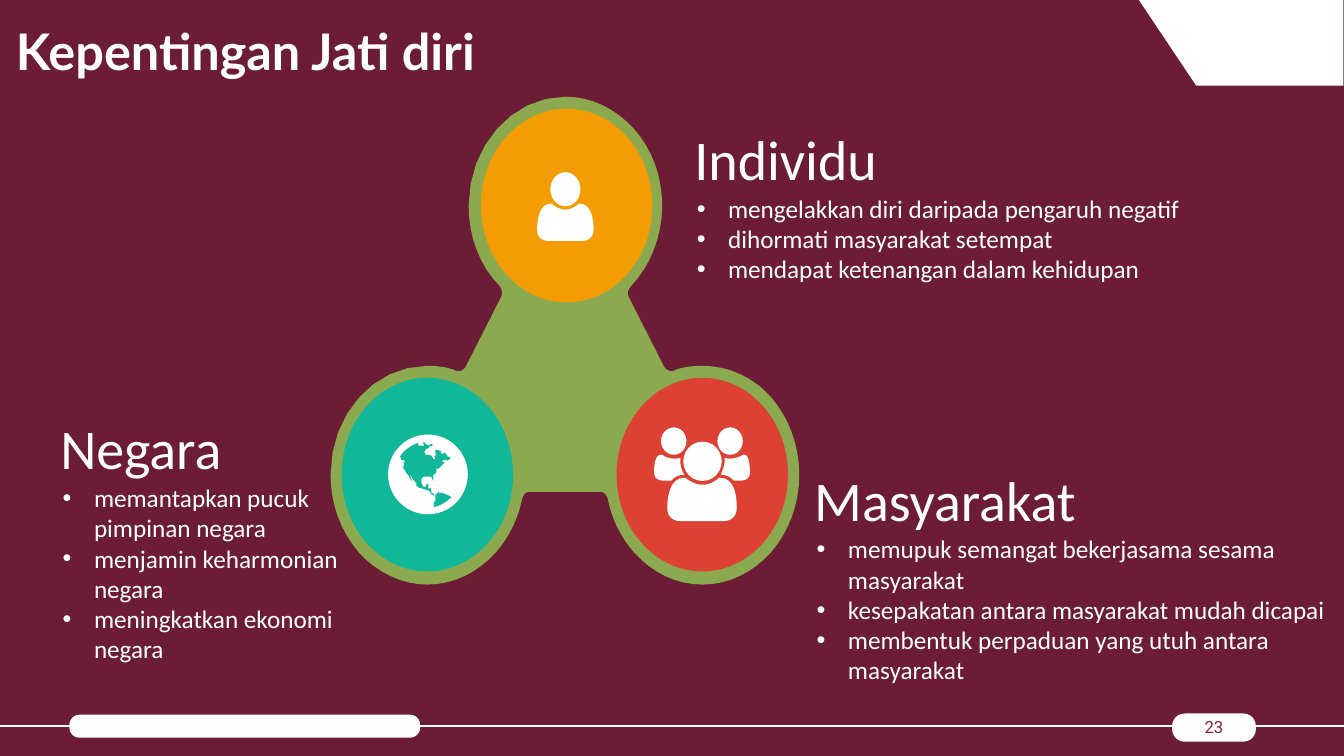
from lxml import etree
from pptx import Presentation
from pptx.dml.color import RGBColor
from pptx.enum.shapes import MSO_CONNECTOR, MSO_SHAPE
from pptx.enum.text import MSO_ANCHOR, PP_ALIGN
from pptx.oxml.ns import qn
from pptx.util import Cm, Pt

OVAL, ROUNDED = MSO_SHAPE.OVAL, MSO_SHAPE.ROUNDED_RECTANGLE
STRAIGHT = MSO_CONNECTOR.STRAIGHT
TOP, MIDDLE = MSO_ANCHOR.TOP, MSO_ANCHOR.MIDDLE
LEFT, CENTER = PP_ALIGN.LEFT, PP_ALIGN.CENTER

COLORS = {
    "maroon": "6C1D35", "wine": "83233E", "white": "FFFFFF", "green": "8BAA4F",
    "teal": "10B899", "orange": "F49C03", "red": "DC4133",
}
GRID = 2.54  # centimetres per unit in the outlines
CURVE_STEPS = 8

# Outlines: each contour is a list of rows, and each row holds steps split by ";"
# A step of one point is a line, a step of three points is a curve
CORNER = [["11.3,0; 13.33,0; 13.33,.85; 11.87,.85"]]
WEB = [[
    "6.97,5.8; 6.71,5.8 6.47,5.68 6.29,5.48; 6.16,5.33 6.07,5.15 6.03,4.95",
    "6.02,4.91 5.99,4.88 5.96,4.88; 5.25,4.88; 5.22,4.88 5.19,4.91 5.18,4.95",
    "5.14,5.15 5.05,5.33 4.92,5.48; 4.74,5.68 4.5,5.8 4.24,5.8",
    "3.99,5.8 3.74,5.68 3.56,5.48; 3.38,5.27 3.28,5 3.28,4.71",
    "3.28,4.11 3.71,3.63 4.24,3.63; 4.34,3.63 4.44,3.64 4.53,3.68",
    "4.57,3.69 4.6,3.67 4.62,3.64; 4.97,2.95; 4.99,2.91 4.98,2.87 4.96,2.84",
    "4.76,2.64 4.65,2.35 4.65,2.04; 4.65,1.45 5.08,.96 5.61,.96",
    "5.86,.96 6.1,1.07 6.29,1.28; 6.47,1.48 6.57,1.75 6.57,2.04",
    "6.57,2.35 6.45,2.64 6.26,2.84; 6.23,2.87 6.22,2.91 6.24,2.95",
    "6.59,3.64; 6.61,3.67 6.65,3.69 6.68,3.68; 6.77,3.64 6.87,3.63 6.97,3.63",
    "7.23,3.63 7.47,3.74 7.65,3.94; 7.83,4.15 7.93,4.42 7.93,4.71",
    "7.93,5 7.83,5.27 7.65,5.48; 7.47,5.68 7.23,5.8 6.97,5.8",
]]
PERSON_BODY = [[
    "5.78,2.39; 5.44,2.39; 5.37,2.39 5.33,2.35 5.33,2.28",
    "5.33,2.18 5.35,2.02 5.47,2.02; 5.48,2.02 5.53,2.08 5.61,2.08",
    "5.69,2.08 5.74,2.02 5.75,2.02; 5.87,2.02 5.89,2.18 5.89,2.28",
    "5.89,2.35 5.84,2.39 5.78,2.39",
]]
GROUP_BODIES = [
    ["7.34,4.77; 7.28,4.77; 7.25,4.73 7.2,4.71 7.15,4.71; 7.17,4.67 7.19,4.62 7.19,4.57",
     "7.19,4.54; 7.21,4.55 7.23,4.55 7.25,4.55; 7.32,4.55 7.37,4.51 7.38,4.51",
     "7.44,4.51 7.44,4.65 7.44,4.69; 7.44,4.75 7.39,4.77 7.34,4.77"],
    ["7.18,5.17; 6.75,5.17; 6.67,5.17 6.62,5.12 6.62,5.04; 6.62,4.92 6.65,4.74 6.79,4.74",
     "6.81,4.74 6.87,4.81 6.97,4.81; 7.07,4.81 7.13,4.74 7.14,4.74",
     "7.29,4.74 7.31,4.92 7.31,5.04; 7.31,5.12 7.26,5.17 7.18,5.17"],
    ["6.66,4.77; 6.59,4.77; 6.54,4.77 6.49,4.75 6.49,4.69; 6.49,4.65 6.49,4.51 6.56,4.51",
     "6.57,4.51 6.62,4.55 6.68,4.55; 6.71,4.55 6.73,4.55 6.75,4.54",
     "6.75,4.57; 6.75,4.62 6.76,4.67 6.79,4.71; 6.74,4.71 6.69,4.73 6.66,4.77"],
]
CONTINENTS = [
    ["4.48,4.93; 4.46,4.92; 4.44,4.91; 4.41,4.9; 4.39,4.89; 4.37,4.89; 4.36,4.9; 4.36,4.88",
     "4.34,4.89; 4.33,4.91; 4.32,4.9; 4.32,4.97; 4.3,4.99; 4.31,5; 4.3,5.03",
     "4.37,5.02 4.43,4.98 4.48,4.93"],
    ["4.37,4.59; 4.39,4.57; 4.42,4.56; 4.44,4.57; 4.47,4.55; 4.46,4.53; 4.44,4.53",
     "4.43,4.51; 4.41,4.49; 4.4,4.5; 4.38,4.5; 4.37,4.49; 4.38,4.48; 4.36,4.47; 4.32,4.46",
     "4.32,4.5; 4.33,4.51; 4.31,4.53; 4.32,4.55; 4.31,4.56; 4.29,4.54; 4.28,4.52; 4.25,4.51",
     "4.22,4.51; 4.21,4.48; 4.23,4.45; 4.25,4.45; 4.26,4.43; 4.28,4.43; 4.29,4.42; 4.29,4.4",
     "4.27,4.41; 4.25,4.42; 4.24,4.41; 4.24,4.42; 4.22,4.4; 4.21,4.39; 4.19,4.39; 4.21,4.41",
     "4.2,4.43; 4.19,4.42; 4.15,4.42; 4.15,4.4; 4.13,4.4; 4.09,4.42",
     "4.04,4.45 3.99,4.49 3.97,4.53; 3.98,4.56; 4.01,4.57; 4.02,4.58; 4.01,4.59; 4,4.58",
     "4.01,4.6; 4,4.64; 4.02,4.67; 4.03,4.69; 4.05,4.71; 4.07,4.75; 4.09,4.78; 4.08,4.75",
     "4.07,4.72; 4.08,4.72; 4.1,4.76; 4.13,4.79; 4.13,4.82; 4.16,4.84; 4.2,4.85; 4.23,4.86",
     "4.26,4.87; 4.27,4.89; 4.29,4.91; 4.29,4.9; 4.3,4.92; 4.31,4.9; 4.28,4.89; 4.28,4.86",
     "4.27,4.84; 4.25,4.85; 4.25,4.83; 4.25,4.8; 4.23,4.81; 4.22,4.83; 4.2,4.83; 4.18,4.79",
     "4.18,4.75; 4.2,4.73; 4.23,4.73; 4.25,4.73; 4.28,4.73; 4.29,4.75; 4.3,4.77; 4.3,4.73",
     "4.3,4.71; 4.32,4.7; 4.33,4.68; 4.33,4.65; 4.35,4.65; 4.37,4.63; 4.39,4.61; 4.41,4.59",
     "4.4,4.58; 4.38,4.58"],
]


def draw_outline(outline, color):
    """Draw closed contours as one filled freeform."""
    builder = None
    for rows in outline:
        steps = [[tuple(map(float, point.split(","))) for point in step.split()]
                 for row in rows for step in row.split(";")]
        points = list(steps[0])
        for step in steps[1:]:
            if len(step) == 1:
                points += step
                continue
            corners = list(zip(points[-1], *step))
            for i in range(1, CURVE_STEPS + 1):
                t = i / CURVE_STEPS
                u = 1 - t
                points.append(tuple(u**3 * a + 3 * u * u * t * b + 3 * u * t * t * c + t**3 * d
                                    for a, b, c, d in corners))
        points = [(Cm(GRID * x), Cm(GRID * y)) for x, y in points]
        if builder is None:
            builder = page.shapes.build_freeform(*points[0])
        else:
            builder.move_to(*points[0])
        builder.add_line_segments(points[1:], close=True)
    shape = builder.convert_to_shape()
    shape.shadow.inherit = False
    shape.fill.solid()
    shape.fill.fore_color.rgb = RGBColor.from_string(COLORS[color])
    shape.line.fill.background()


def add_text(place, lines, size, font="Calibri", color="white", bold=False, anchor=MIDDLE,
             align=LEFT, spacing=1.0, inset=(0.15, 0.15), bullets=False):
    """Add a text box with one paragraph for each line."""
    box = page.shapes.add_textbox(*map(Cm, place))
    frame = box.text_frame
    side, edge = map(Cm, inset)
    frame_format = {"word_wrap": True, "vertical_anchor": anchor, "margin_left": side,
                    "margin_right": side, "margin_top": edge, "margin_bottom": edge}
    for name, value in frame_format.items():
        setattr(frame, name, value)
    for i, line in enumerate(lines):
        para = frame.add_paragraph() if i else frame.paragraphs[0]
        para.alignment, para.line_spacing = align, spacing
        if bullets:
            props = para._p.get_or_add_pPr()
            props.set("marL", str(Cm(0.79)))
            props.set("indent", str(-Cm(0.79)))
            etree.SubElement(props, qn("a:buFont")).set("typeface", "Arial")
            etree.SubElement(props, qn("a:buChar")).set("char", "•")
        span = para.add_run()
        span.text = line
        for name, value in {"name": font, "size": Pt(size), "bold": bold}.items():
            setattr(span.font, name, value)
        span.font.color.rgb = RGBColor.from_string(COLORS[color])


# Page
deck = Presentation()
deck.slide_width, deck.slide_height = Cm(33.87), Cm(19.05)
page = deck.slides.add_slide(deck.slide_layouts[6])
page.background.fill.solid()
page.background.fill.fore_color.rgb = RGBColor.from_string(COLORS["maroon"])

# Footer line, corner and green web
rule = page.shapes.add_connector(STRAIGHT, 0, Cm(18.29), deck.slide_width, Cm(18.29))
rule.line.width = Pt(1.5)
rule.line.color.rgb = RGBColor.from_string(COLORS["white"])
etree.SubElement(rule._element.spPr, qn("a:effectLst"))
draw_outline(CORNER, "white")
draw_outline(WEB, "green")

# Footer bars, discs, heads and globe
for kind, color, place in [
    (ROUNDED, "white", (1.75, 18.01, 8.84, 0.58)),
    (ROUNDED, "white", (29.54, 17.98, 2.11, 0.71)),
    (OVAL, "teal", (8.61, 9.52, 4.32, 4.88)),
    (OVAL, "orange", (12.12, 2.74, 4.32, 4.88)),
    (OVAL, "red", (15.54, 9.52, 4.32, 4.88)),
    (OVAL, "white", (13.87, 4.34, 0.76, 0.86)),
    (OVAL, "white", (16.66, 10.77, 0.64, 0.69)),
    (OVAL, "white", (18.08, 10.77, 0.64, 0.69)),
    (OVAL, "white", (17.22, 11.13, 0.97, 0.99)),
    (OVAL, "white", (9.78, 10.95, 2.01, 2.01)),
]:
    shape = page.shapes.add_shape(kind, *map(Cm, place))
    shape.shadow.inherit = False
    shape.fill.solid()
    shape.fill.fore_color.rgb = RGBColor.from_string(COLORS[color])
    shape.line.fill.background()
    if kind == ROUNDED:
        shape.adjustments[0] = 0.44

# Icon details
for outline, color in [(PERSON_BODY, "white"), (GROUP_BODIES, "white"), (CONTINENTS, "teal")]:
    draw_outline(outline, color)

# Title and page number
add_text((0.15, 0.1, 21.89, 2.51), ["Kepentingan Jati diri"], 36, font="Lato", bold=True,
         spacing=0.9, inset=(0.25, 0.13))
add_text((29.54, 17.86, 2.11, 0.89), ["23"], 12, font="Roboto", color="wine", align=CENTER,
         inset=(0.25, 0.13))

# Headings with their bullet lists
for heading, left, top, width, points in [
    ("Individu", 17.35, 2.62, 13.97, [
        "mengelakkan diri daripada pengaruh negatif",
        "dihormati masyarakat setempat",
        "mendapat ketenangan dalam kehidupan"]),
    ("Masyarakat", 20.37, 11.2, 13.97, [
        "memupuk semangat bekerjasama sesama masyarakat",
        "kesepakatan antara masyarakat mudah dicapai",
        "membentuk perpaduan yang utuh antara masyarakat"]),
    ("Negara", 1.37, 9.91, 8.59, [
        "memantapkan pucuk pimpinan negara",
        "menjamin keharmonian negara",
        "meningkatkan ekonomi negara"]),
]:
    add_text((left, top, 16.81, 3.05), [heading], 40, spacing=0.8)
    add_text((left + 0.06, top + 2.1, width, 2.64), points, 18, anchor=TOP, bullets=True)

deck.save("out.pptx")
